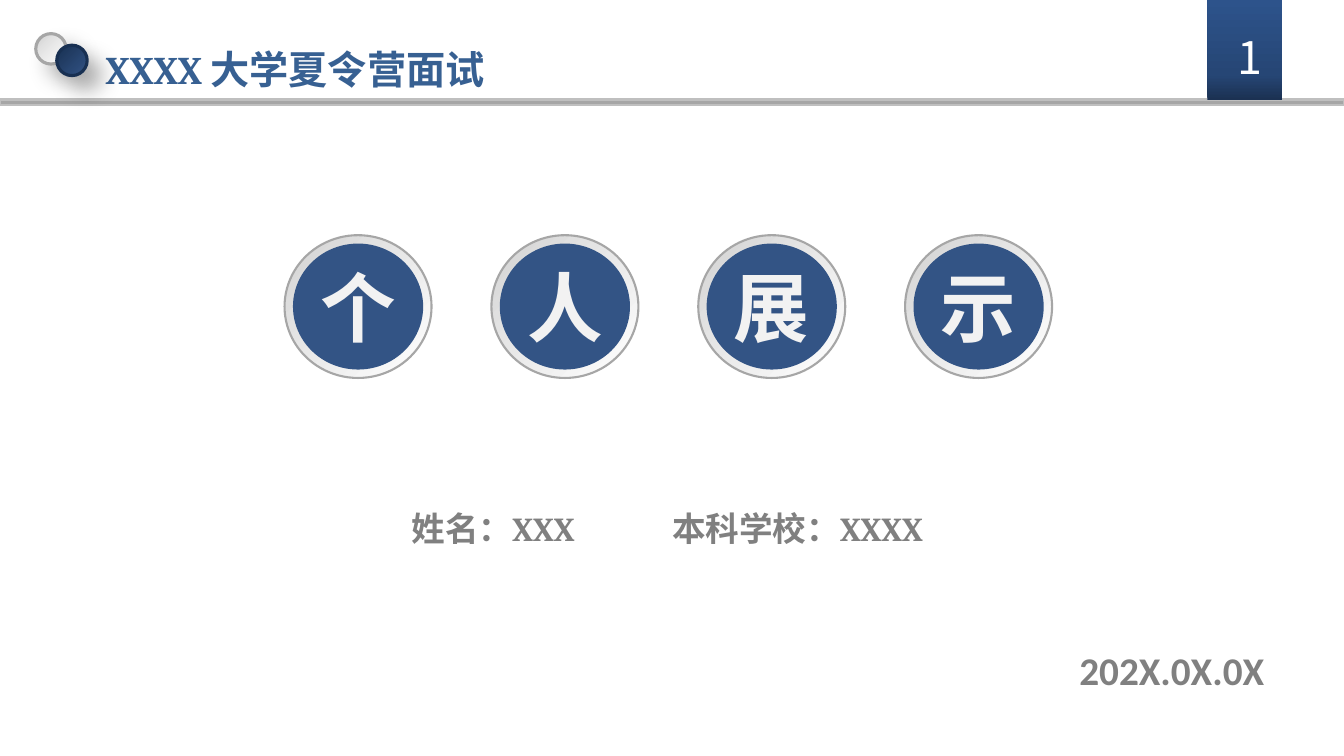
from lxml.etree import SubElement
from pptx import Presentation
from pptx.dml.color import RGBColor
from pptx.enum.shapes import MSO_SHAPE
from pptx.enum.text import MSO_ANCHOR, MSO_AUTO_SIZE, PP_ALIGN
from pptx.oxml.ns import qn
from pptx.util import Emu, Pt

PX = 9525
WHITE = RGBColor(0xFF, 0xFF, 0xFF)
OFF_WHITE = RGBColor(0xF2, 0xF2, 0xF2)
LIGHT_GRAY = RGBColor(0xD3, 0xD3, 0xD3)
RULE_EDGE = RGBColor(0xBF, 0xBF, 0xBF)
RULE_GRAY = RGBColor(0xA6, 0xA6, 0xA6)
TEXT_GRAY = RGBColor(0x80, 0x80, 0x80)
TITLE_BLUE = RGBColor(0x37, 0x60, 0x92)
DISC_BLUE = RGBColor(0x33, 0x54, 0x85)
DARK_BLUE = RGBColor(0x18, 0x30, 0x52)
TAB_STOPS = [(0, RGBColor(0x1B, 0x31, 0x52)), (25, RGBColor(0x26, 0x46, 0x75)),
             (100, RGBColor(0x2D, 0x53, 0x8B))]
SILVER_STOPS = [(0, WHITE), (100, LIGHT_GRAY)]
NAVY_STOPS = [(0, DISC_BLUE), (100, DARK_BLUE)]
CJK_FONT = "Noto Sans CJK SC"


def px(*lengths):
    return [Emu(length * PX) for length in lengths]


def add_plain_shape(shapes, preset, box, fill=None, line=None, line_width=0):
    shape = shapes.add_shape(preset, *px(*box))
    shape.shadow.inherit = False
    if fill is not None:
        shape.fill.solid()
        shape.fill.fore_color.rgb = fill
    if line is None:
        shape.line.fill.background()
    else:
        shape.line.color.rgb = line
        shape.line.width = Pt(line_width)
    return shape


def set_gradient(shape, stops, clockwise_angle):
    shape.fill.gradient()
    shape.fill.gradient_angle = 360 - clockwise_angle
    stop_list = shape._element.spPr.find(qn("a:gradFill")).find(qn("a:gsLst"))
    for stop in list(stop_list):
        stop_list.remove(stop)
    for position, color in stops:
        stop = SubElement(stop_list, qn("a:gs"), pos=str(position * 1000))
        SubElement(stop, qn("a:srgbClr"), val=str(color))


def add_soft_shadow(shape):
    effects = shape._element.spPr.find(qn("a:effectLst"))
    shadow = SubElement(effects, qn("a:outerShdw"), blurRad=str(Pt(16)), dist=str(Pt(14)),
                        dir="2700000", algn="tl", rotWithShape="0")
    color = SubElement(shadow, qn("a:srgbClr"), val="000000")
    SubElement(color, qn("a:alpha"), val="31000")


def write_text(shape, text, font_name, size, color, bold=True, align=PP_ALIGN.CENTER,
               line_spacing=1.0, anchor=MSO_ANCHOR.TOP, margin=0, tab=None, spacing=None):
    frame = shape.text_frame
    frame.word_wrap = False
    frame.auto_size = MSO_AUTO_SIZE.NONE
    frame.vertical_anchor = anchor
    frame.margin_left = frame.margin_right = Emu(margin * PX)
    frame.margin_top = frame.margin_bottom = Emu(margin * PX // 2)
    paragraph = frame.paragraphs[0]
    paragraph.text = text
    paragraph.alignment = align
    paragraph.line_spacing = line_spacing
    if tab:
        tabs = SubElement(paragraph._p.get_or_add_pPr(), qn("a:tabLst"))
        SubElement(tabs, qn("a:tab"), pos=str(tab * PX), algn="l")
    font = paragraph.font
    font.name, font.size, font.bold = font_name, Pt(size), bold
    font.color.rgb = color
    SubElement(font._element, qn("a:ea"), typeface=CJK_FONT)
    if spacing:
        font._element.set("spc", str(spacing))


def add_header(slide, left, top, width, height):
    shapes = slide.shapes
    add_plain_shape(shapes, MSO_SHAPE.RECTANGLE, (left, top + height, width, 5),
                    RULE_GRAY, RULE_EDGE, 2)
    number_tab = add_plain_shape(shapes, MSO_SHAPE.RECTANGLE,
                                 (left + width - 130, top, 71, height))
    set_gradient(number_tab, TAB_STOPS, 270)
    for x, y, stops, edge in ((34, 32, SILVER_STOPS, RULE_GRAY),
                              (54, 43, NAVY_STOPS, DARK_BLUE)):
        dot = add_plain_shape(shapes, MSO_SHAPE.OVAL, (left + x, top + y, 29, 29),
                              line=edge, line_width=2.25)
        dot.rotation = 90
        set_gradient(dot, stops, 135)
        add_soft_shadow(dot)
    title = shapes.title
    title.left, title.top, title.width, title.height = px(left + 80, top + 16, 402, 69)
    write_text(title, "XXXX 大学夏令营面试", "Cambria", 28, TITLE_BLUE,
               line_spacing=1.5, margin=10)
    number = shapes.add_textbox(*px(left + width - 105, top + 39, 30, 29))
    write_text(number, "1", CJK_FONT, 32, WHITE, bold=False, anchor=MSO_ANCHOR.MIDDLE)


def add_medallion(slide, character, left, top, width, height):
    group = slide.shapes.add_group_shape()
    ring = add_plain_shape(group.shapes, MSO_SHAPE.OVAL, (left, top, width, height),
                           line=RULE_GRAY, line_width=1.5)
    ring.rotation = 90
    set_gradient(ring, SILVER_STOPS, 135)
    disc = add_plain_shape(group.shapes, MSO_SHAPE.OVAL,
                           (left + 6, top + 10, width - 12, height - 20), DISC_BLUE)
    write_text(disc, character, CJK_FONT, 54, OFF_WHITE,
               anchor=MSO_ANCHOR.MIDDLE, spacing=220)


def add_medallion_row(slide, text, left, top, pitch):
    for index, character in enumerate(text):
        add_medallion(slide, character, left + index * pitch, top, 136, 140)


def add_details(slide, left, top):
    person = slide.shapes.add_textbox(*px(left, top, 518, 60))
    write_text(person, "姓名：XXX\t本科学校：XXXX", "Cambria", 24, TEXT_GRAY,
               align=PP_ALIGN.LEFT, line_spacing=1.5, margin=10, tab=248)
    date = slide.shapes.add_textbox(*px(left + 620, top + 128, 228, 70))
    write_text(date, "202X.0X.0X", "Calibri", 28, TEXT_GRAY, line_spacing=1.5, margin=10)


def main():
    presentation = Presentation()
    presentation.slide_width, presentation.slide_height = px(1280, 720)
    slide = presentation.slides.add_slide(presentation.slide_layouts[5])
    add_header(slide, 0, 0, 1280, 95)
    add_medallion_row(slide, "个人展示", 273, 222, 197)
    add_details(slide, 382, 460)
    presentation.save("out.pptx")


if __name__ == "__main__":
    main()
